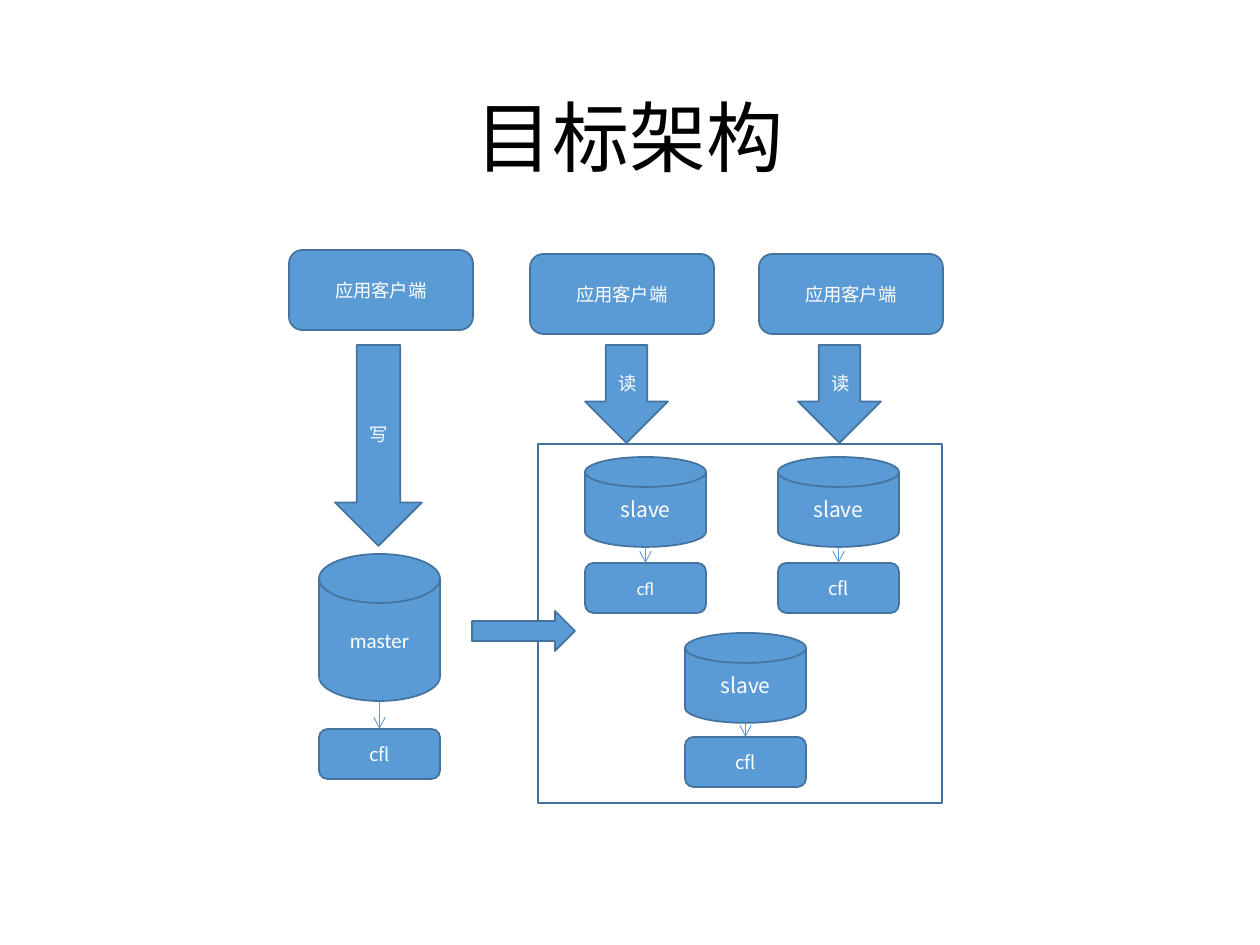
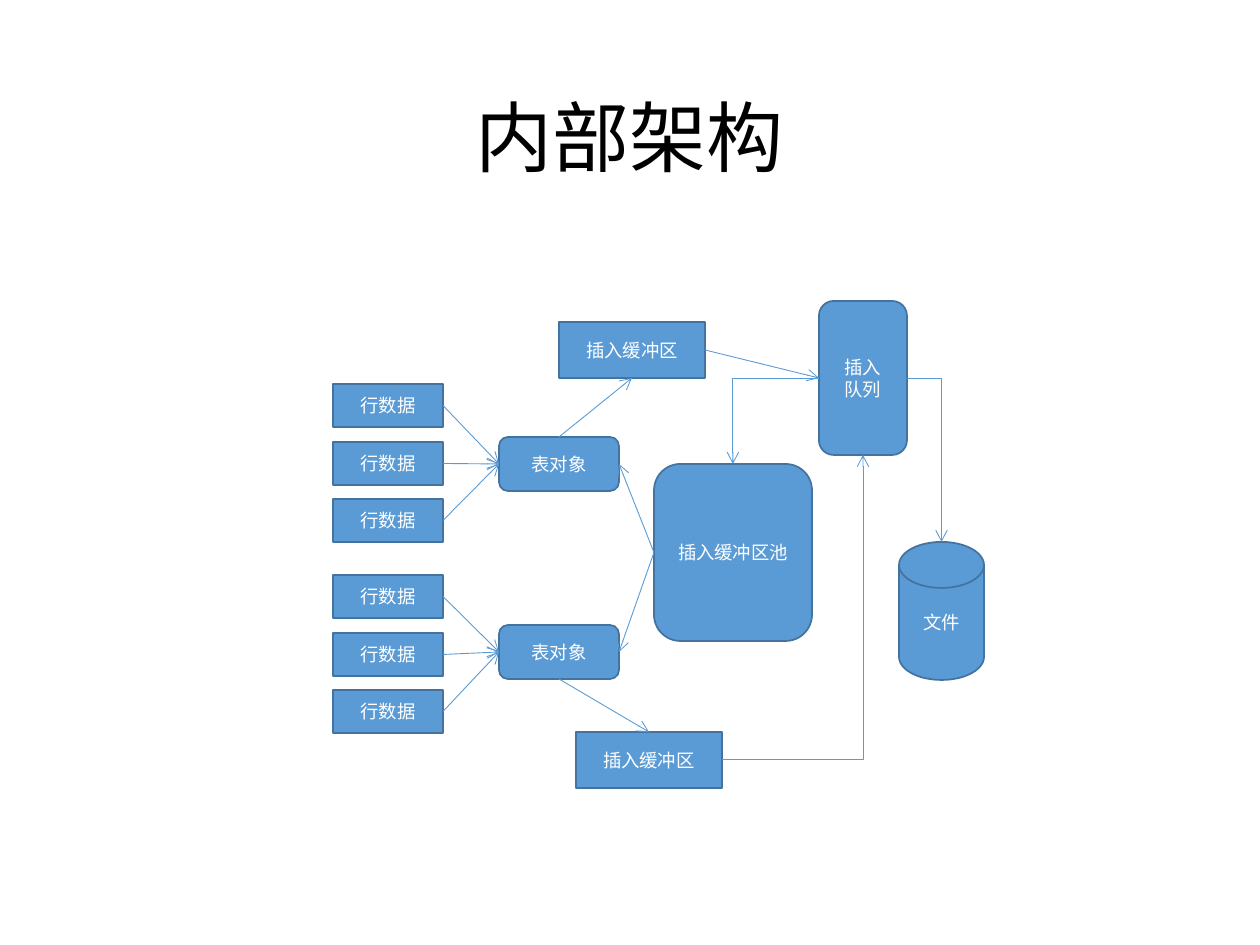
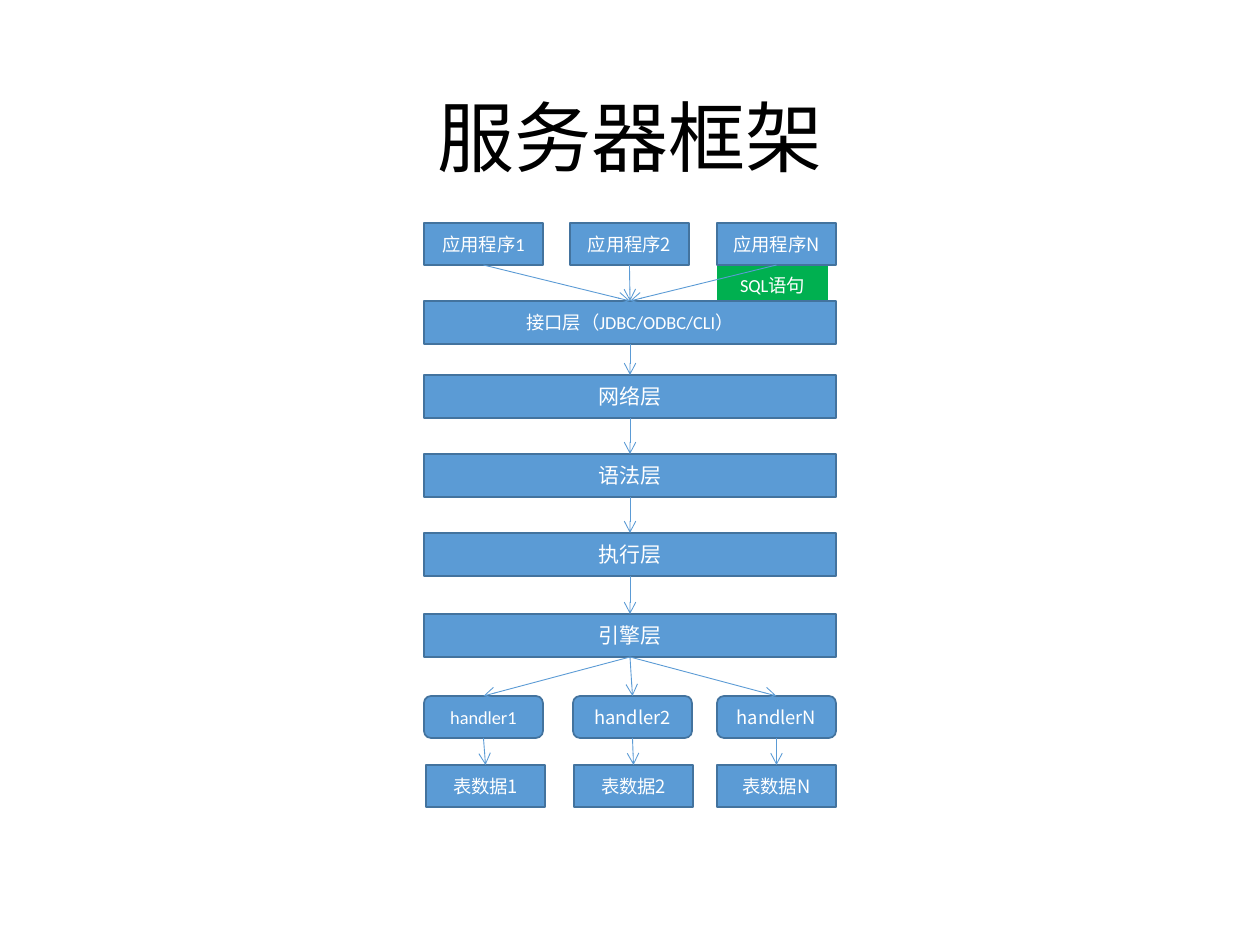
from enum import IntEnum

from lxml import etree
from pptx import Presentation, util as u
from pptx.dml.color import RGBColor
from pptx.enum import shapes, text
from pptx.oxml import ns

BLUE = RGBColor(0x5B, 0x9B, 0xD5)
DARK_BLUE = RGBColor(0x43, 0x73, 0x9E)
GREEN = RGBColor(0x00, 0xB0, 0x50)
WHITE = RGBColor(0xFF, 0xFF, 0xFF)
BLACK = RGBColor(0, 0, 0)

LATIN = "Calibri"
CJK = "Noto Sans CJK SC"
PX_PER_INCH = 126

SHAPE = shapes.MSO_SHAPE
BOX = SHAPE.RECTANGLE
ROUND = SHAPE.ROUNDED_RECTANGLE
DISK = SHAPE.FLOWCHART_MAGNETIC_DISK


class Side(IntEnum):
    TOP = 0
    LEFT = 1
    BOTTOM = 2
    RIGHT = 3


def px(length):
    return u.Emu(round(length * u.Inches(1) / PX_PER_INCH))


def midpoint(shape, side):
    """Middle of one side of a shape, in EMU."""
    center_x = shape.left + shape.width // 2
    center_y = shape.top + shape.height // 2
    return {
        Side.TOP: (center_x, shape.top),
        Side.LEFT: (shape.left, center_y),
        Side.BOTTOM: (center_x, shape.top + shape.height),
        Side.RIGHT: (shape.left + shape.width, center_y),
    }[side]


class Deck:
    def __init__(self):
        self.prs = Presentation()
        self.prs.slide_width, self.prs.slide_height = u.Inches(10), u.Inches(7.5)
        self.slide = None

    def start_slide(self, heading):
        self.slide = self.prs.slides.add_slide(self.prs.slide_layouts[5])
        title = self.slide.shapes.title
        title.left, title.top, title.width, title.height = map(px, (87, 50, 1086, 183))
        frame = title.text_frame
        frame.auto_size = text.MSO_AUTO_SIZE.NONE
        frame.vertical_anchor = text.MSO_ANCHOR.MIDDLE
        self.set_words(frame, heading, 44, LATIN, BLACK)
        frame.paragraphs[0].line_spacing = 0.9

    def set_words(self, frame, words, size, font, color):
        frame.text = words
        paragraph = frame.paragraphs[0]
        paragraph.alignment = text.PP_ALIGN.CENTER
        for run in paragraph.runs:
            run.font.size = u.Pt(size)
            run.font.name = font
            run.font.color.rgb = color
            etree.SubElement(run._r.get_or_add_rPr(), ns.qn("a:ea"), typeface=CJK)

    def block(self, kind, x, y, w, h, words="", size=10.5, font=CJK,
              fill=BLUE, line=DARK_BLUE):
        shape = self.slide.shapes.add_shape(kind, px(x), px(y), px(w), px(h))
        shape.shadow.inherit = False
        if fill is None:
            shape.fill.background()
        else:
            shape.fill.solid()
            shape.fill.fore_color.rgb = fill
        if line is None:
            shape.line.fill.background()
        else:
            shape.line.color.rgb = line
            shape.line.width = u.Pt(1)
        if words:
            self.set_words(shape.text_frame, words, size, font, WHITE)
        return shape

    def arrow(self, source, source_side, target, target_side, bent=False):
        """Arrow between two sides; a bent one runs across first, then up or down."""
        kind = shapes.MSO_CONNECTOR.ELBOW if bent else shapes.MSO_CONNECTOR.STRAIGHT
        link = self.slide.shapes.add_connector(
            kind, *midpoint(source, source_side), *midpoint(target, target_side))
        # A disk numbers its connection sites differently, so it stays unjoined.
        if source.auto_shape_type != DISK:
            link.begin_connect(source, source_side)
        if target.auto_shape_type != DISK:
            link.end_connect(target, target_side)
        link.line.color.rgb = BLUE
        link.line.width = u.Pt(0.5)
        properties = link._element.spPr
        if bent:
            properties.find(ns.qn("a:prstGeom")).set("prst", "bentConnector2")
        outline = properties.find(ns.qn("a:ln"))
        etree.SubElement(outline, ns.qn("a:tailEnd"), type="arrow")
        etree.SubElement(properties, ns.qn("a:effectLst"))

    def down(self, source, target):
        self.arrow(source, Side.BOTTOM, target, Side.TOP)


def target_architecture(deck):
    deck.start_slide("目标架构")
    master = deck.block(DISK, 319, 554, 121, 147, "master", 12, LATIN)
    master_log = deck.block(ROUND, 319, 729, 121, 50, "cfl")
    deck.down(master, master_log)

    for x, y, log_y, log_font in ((585, 457, 563, LATIN), (778, 457, 563, CJK),
                                  (685, 633, 737, CJK)):
        slave = deck.block(DISK, x, y, 121, 90, "slave", 12)
        log = deck.block(ROUND, x, log_y, 121, 50, "cfl", font=log_font)
        deck.down(slave, log)
    deck.block(BOX, 538, 444, 404, 359, fill=None)
    deck.block(SHAPE.RIGHT_ARROW, 472, 611, 103, 40)

    for x, y, font in ((289, 250, LATIN), (530, 254, CJK), (759, 254, CJK)):
        deck.block(ROUND, x, y, 184, 80, "应用客户端", font=font)
    for x, w, h, action, font in ((335, 87, 201, "写", LATIN), (585, 83, 98, "读", LATIN),
                                  (798, 83, 98, "读", CJK)):
        deck.block(SHAPE.DOWN_ARROW, x, 345, w, h, action, font=font)


def internal_architecture(deck):
    deck.start_slide("内部架构")
    pool = deck.block(ROUND, 654, 464, 158, 177, "插入缓冲区池", font=LATIN)
    queue = deck.block(ROUND, 819, 301, 88, 154, "插入队列", font=LATIN)
    data_file = deck.block(DISK, 899, 542, 85, 138, "文件", font=LATIN)

    def table_group(table_y, rows_y, font):
        table = deck.block(ROUND, 499, table_y, 120, 54, "表对象", font=font)
        for index, offset in enumerate((0, 58, 115)):
            row = deck.block(BOX, 333, rows_y + offset, 110, 43, "行数据",
                             font=CJK if index else font)
            deck.arrow(row, Side.RIGHT, table, Side.LEFT)
        deck.arrow(pool, Side.LEFT, table, Side.RIGHT)
        return table

    upper_table = table_group(437, 384, LATIN)
    lower_table = table_group(625, 575, CJK)
    upper_buffer = deck.block(BOX, 559, 322, 146, 56, "插入缓冲区", font=LATIN)
    lower_buffer = deck.block(BOX, 576, 732, 146, 56, "插入缓冲区")

    deck.arrow(upper_table, Side.TOP, upper_buffer, Side.BOTTOM)
    deck.down(lower_table, lower_buffer)
    deck.arrow(upper_buffer, Side.RIGHT, queue, Side.LEFT)
    deck.arrow(lower_buffer, Side.RIGHT, queue, Side.BOTTOM, bent=True)
    deck.arrow(queue, Side.LEFT, pool, Side.TOP, bent=True)
    deck.arrow(queue, Side.RIGHT, data_file, Side.TOP, bent=True)


def server_framework(deck):
    deck.start_slide("服务器框架")
    deck.block(SHAPE.FLOWCHART_PROCESS, 717, 265, 111, 40, "SQL语句", font=LATIN,
               fill=GREEN, line=None)

    def trio(kind, lefts, y, label, first_font):
        return [deck.block(kind, x, y, 119, 42, label + suffix, font=font)
                for x, suffix, font in zip(lefts, "12N", (first_font, CJK, CJK))]

    programs = trio(BOX, (424, 570, 717), 223, "应用程序", LATIN)
    layers = [deck.block(BOX, 424, 301, 412, 43, "接口层（JDBC/ODBC/CLI）", font=LATIN)]
    for y, name in ((375, "网络层"), (454, "语法层"), (533, "执行层"), (614, "引擎层")):
        layers.append(deck.block(BOX, 424, y, 412, 43, name, 12))
    handlers = trio(ROUND, (424, 573, 717), 696, "handler", LATIN)
    tables = trio(BOX, (426, 574, 717), 765, "表数据", CJK)

    for upper, lower in zip(layers, layers[1:]):
        deck.down(upper, lower)
    for program, handler, table in zip(programs, handlers, tables):
        deck.down(program, layers[0])
        deck.down(layers[-1], handler)
        deck.down(handler, table)


def main():
    deck = Deck()
    target_architecture(deck)
    internal_architecture(deck)
    server_framework(deck)
    deck.prs.save("out.pptx")


if __name__ == "__main__":
    main()
